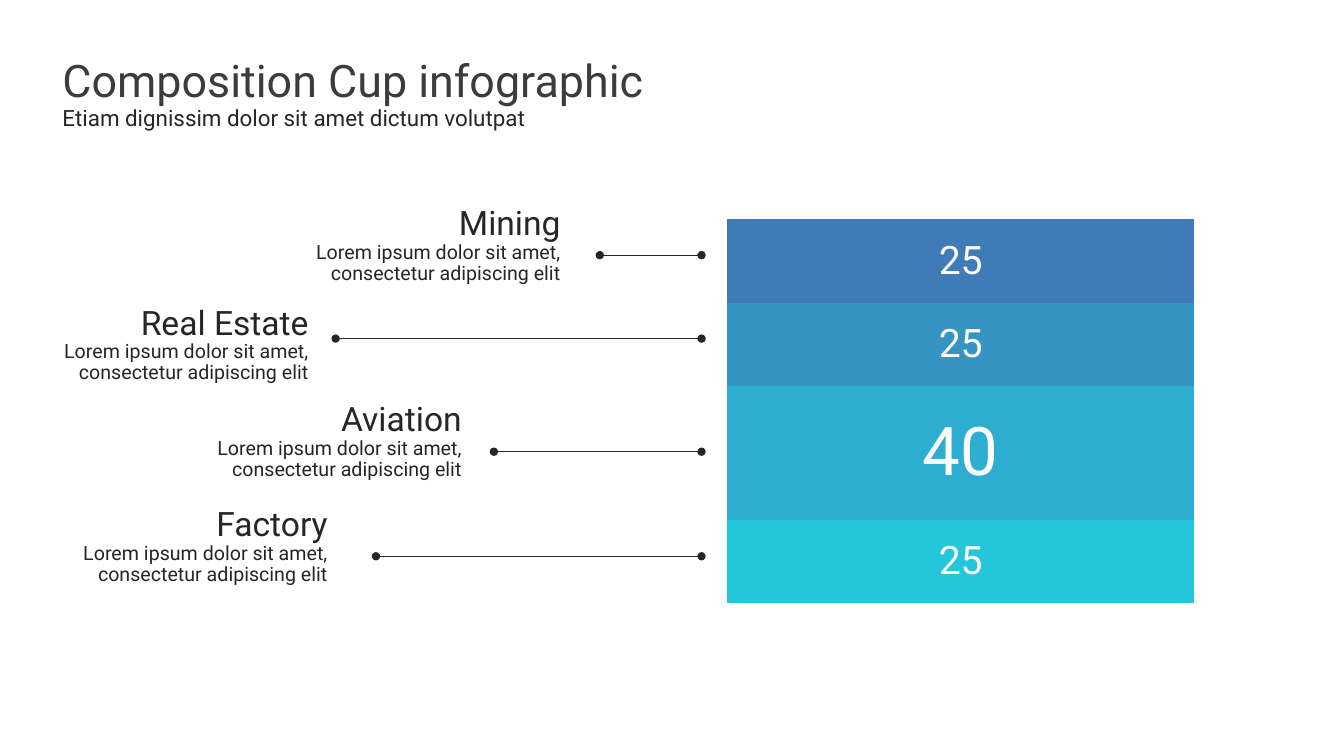
"""Build a slide that shows a stacked cup chart with four linked labels."""
from dataclasses import dataclass

from lxml.etree import SubElement
from pptx import Presentation
from pptx.chart.data import CategoryChartData as Data
from pptx.dml.color import RGBColor as RGB
from pptx.enum.chart import XL_CHART_TYPE as Kind, XL_LABEL_POSITION as Spot
from pptx.enum.shapes import MSO_CONNECTOR as Link
from pptx.enum.text import MSO_ANCHOR as Anchor, MSO_AUTO_SIZE as Fit, PP_ALIGN as Align
from pptx.oxml.ns import qn
from pptx.util import Inches, Pt

WIDE, HIGH = Inches(13.33), Inches(7.5)
COLS, ROWS = 40, 24


@dataclass(frozen=True)
class Theme:
    font: str = "Roboto"
    title: str = "3C3C3C"
    ink: str = "262626"
    pale: str = "FBFBFB"
    big: int = 32
    sub: int = 16
    head: int = 24
    body: int = 14
    base: int = 10
    line: float = 0.5


LOOK = Theme()
BANDS = [
    (25, "24C6DC", 28),
    (40, "2DADCF", 48),
    (25, "3694C2", 28),
    (25, "3F7BB6", 28),
]
NOTE = "Lorem ipsum dolor sit amet, consectetur adipiscing elit"
LABELS = [
    ("Mining", 8.49, 16.98, 6.4, 17.85, 8.1),
    ("Real Estate", 0.75, 9.48, 9.57, 9.99, 10.75),
    ("Aviation", 5.55, 14.04, 12.64, 14.7, 14.34),
    ("Factory", 1.56, 10.05, 15.97, 11.19, 17.66),
]
LINK_END = 20.88


def across(cols):
    return round(WIDE * cols / COLS)


def down(rows):
    return round(HIGH * rows / ROWS)


def area(col, row, cols, rows):
    return across(col), down(row), across(cols), down(rows)


def style(font, size, color):
    font.name, font.size, font.bold = LOOK.font, Pt(size), False
    font.color.rgb = RGB.from_string(color)


def write(frame, text, *, size, color=LOOK.ink, align=Align.LEFT, gap=0.9, first=False):
    para = frame.paragraphs[0] if first else frame.add_paragraph()
    para.alignment, para.line_spacing = align, gap
    para.space_before = para.space_after = Pt(0)
    run = para.add_run()
    run.text = text
    style(run.font, size, color)


def add_title(slide):
    box = slide.shapes.title
    box.left, box.top, box.width, box.height = area(1.56, 1.7, 23.13, 2.85)
    frame = box.text_frame
    frame.word_wrap, frame.auto_size = True, Fit.NONE
    frame.vertical_anchor = Anchor.TOP
    write(frame, "Composition Cup infographic", size=LOOK.big, color=LOOK.title, first=True)
    write(frame, "Etiam dignissim dolor sit amet dictum volutpat", size=LOOK.sub)


def add_label(slide, name, left, right, top):
    box = slide.shapes.add_textbox(*area(left, top, right - left, 2.82))
    frame = box.text_frame
    frame.word_wrap, frame.auto_size = True, Fit.SHAPE_TO_FIT_TEXT
    write(frame, name, size=LOOK.head, align=Align.RIGHT, gap=0.89, first=True)
    write(frame, NOTE, size=LOOK.body, align=Align.RIGHT, gap=0.89)


def add_link(slide, start, row):
    link = slide.shapes.add_connector(
        Link.STRAIGHT, across(start), down(row), across(LINK_END), down(row))
    link.line.color.rgb = RGB.from_string(LOOK.ink)
    link.line.width = Pt(LOOK.line)
    for end in ("a:headEnd", "a:tailEnd"):
        SubElement(link.line._get_or_add_ln(), qn(end), type="oval")
    SubElement(link._element.spPr, qn("a:effectLst"))


def set_plot(chart, **share):
    """Fix the inner plot area as shares of the chart frame."""
    plot = chart._chartSpace.chart.plotArea
    for old in plot.findall(qn("c:layout")):
        plot.remove(old)
    layout = SubElement(plot, qn("c:layout"))
    plot.insert(0, layout)
    manual = SubElement(layout, qn("c:manualLayout"))
    marks = {"layoutTarget": "inner", "xMode": "edge", "yMode": "edge", **share}
    for tag, val in marks.items():
        SubElement(manual, qn(f"c:{tag}"), val=str(val))


def add_cup(slide):
    data = Data()
    data.categories = ["1"]
    for num, (val, _, _) in enumerate(BANDS, 1):
        data.add_series(f"Series {num}", [val])
    frame = slide.shapes.add_chart(
        Kind.COLUMN_STACKED, *area(10.5, 4, 36.18, 15.46), data)
    chart = frame.chart
    chart.has_legend = chart.has_title = False
    style(chart.font, LOOK.base, LOOK.pale)
    axis = chart.value_axis
    axis.minimum_scale, axis.maximum_scale = 0, 140
    axis.has_major_gridlines = False
    axis.visible = chart.category_axis.visible = False
    plot = chart.plots[0]
    plot.gap_width, plot.overlap, plot.vary_by_categories = 150, 100, False
    for band, (_, color, size) in zip(plot.series, BANDS):
        band.format.fill.solid()
        band.format.fill.fore_color.rgb = RGB.from_string(color)
        tags = band.data_labels
        tags.show_value, tags.position = True, Spot.CENTER
        style(tags.font, size, LOOK.pale)
    set_plot(chart, x=0.02, y=0.02, w=0.96, h=0.96)


def main():
    deck = Presentation()
    deck.slide_width, deck.slide_height = WIDE, HIGH
    slide = deck.slides.add_slide(deck.slide_layouts[5])
    add_cup(slide)
    add_title(slide)
    for name, left, right, top, start, row in LABELS:
        add_link(slide, start, row)
        add_label(slide, name, left, right, top)
    deck.save("out.pptx")


if __name__ == "__main__":
    main()
